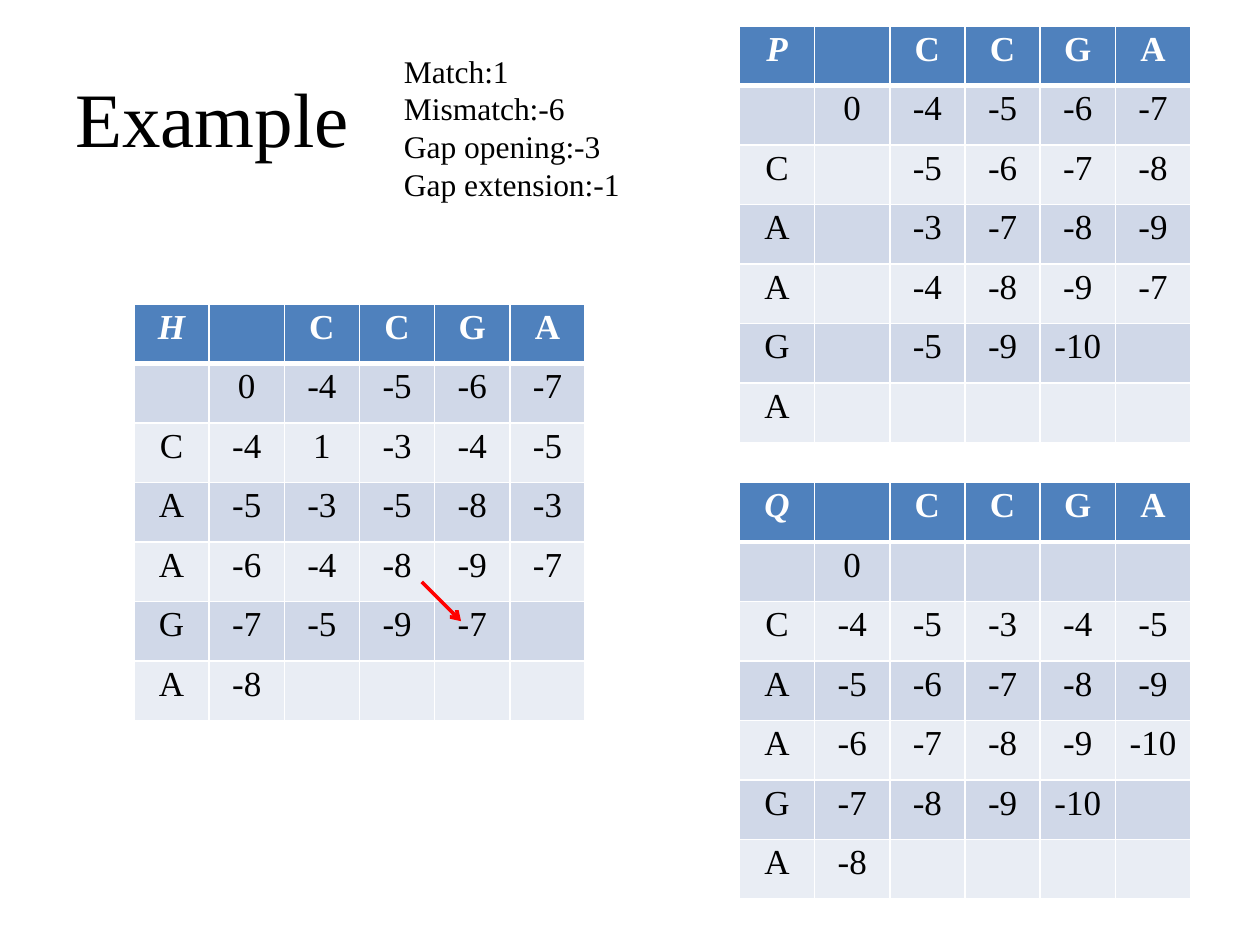
from lxml.etree import SubElement
from pptx import Presentation
from pptx.dml.color import RGBColor
from pptx.enum.shapes import MSO_CONNECTOR as Connector
from pptx.enum.text import MSO_ANCHOR as Anchor, PP_ALIGN as Align
from pptx.oxml.ns import qn
from pptx.util import Pt

# Content
TITLE = "Example"
SCORING = ["Match:1", "Mismatch:-6", "Gap opening:-3", "Gap extension:-1"]
COLUMN_LETTERS = ["", "C", "C", "G", "A"]
ROW_LETTERS = ["", "C", "A", "A", "G", "A"]

# Each matrix: name, left, top, values by row (trailing empty cells left out)
MATRICES = [
    ("H", 76.5, 173.75, [
        ["0", "-4", "-5", "-6", "-7"],
        ["-4", "1", "-3", "-4", "-5"],
        ["-5", "-3", "-5", "-8", "-3"],
        ["-6", "-4", "-8", "-9", "-7"],
        ["-7", "-5", "-9", "-7"],
        ["-8"],
    ]),
    ("P", 422.5, 15, [
        ["0", "-4", "-5", "-6", "-7"],
        ["", "-5", "-6", "-7", "-8"],
        ["", "-3", "-7", "-8", "-9"],
        ["", "-4", "-8", "-9", "-7"],
        ["", "-5", "-9", "-10"],
        [],
    ]),
    ("Q", 422.5, 275.75, [
        ["0"],
        ["-4", "-5", "-3", "-4", "-5"],
        ["-5", "-6", "-7", "-8", "-9"],
        ["-6", "-7", "-8", "-9", "-10"],
        ["-7", "-8", "-9", "-10"],
        ["-8"],
    ]),
]

# Style
FONT = "Times New Roman"
BLACK, WHITE, RED = "000000", "FFFFFF", "FF0000"
HEADER, BANDS = "4F81BD", ("D0D8E8", "E9EDF4")
COLUMN_WIDTH, ROW_HEIGHT = 43, 34


def color(value):
    return RGBColor.from_string(value)


def write(paragraph, text, size=20, fill=BLACK, bold=False, italic=False,
          align=Align.LEFT):
    paragraph.alignment = align
    run = paragraph.add_run()
    run.text = text
    font = run.font
    font.name, font.size, font.bold, font.italic = FONT, Pt(size), bold, italic
    font.color.rgb = color(fill)


def add_text(slide, lines, box, size, anchor=Anchor.TOP, wrap=True):
    frame = slide.shapes.add_textbox(*map(Pt, box)).text_frame
    frame.word_wrap = wrap
    frame.vertical_anchor = anchor
    for index, line in enumerate(lines):
        paragraph = frame.add_paragraph() if index else frame.paragraphs[0]
        write(paragraph, line, size=size)


def add_borders(cell, widths):
    properties = cell._tc.get_or_add_tcPr()
    for side, width in widths.items():
        line = SubElement(properties, qn(f"a:ln{side}"), w=str(Pt(width)))
        solid = SubElement(line, qn("a:solidFill"))
        SubElement(solid, qn("a:srgbClr"), val=WHITE)


def add_matrix(slide, name, left, top, values):
    rows = [[name] + COLUMN_LETTERS]
    rows += [[letter] + row for letter, row in zip(ROW_LETTERS, values)]
    row_count, column_count = len(rows), len(rows[0])
    table = slide.shapes.add_table(
        row_count, column_count, Pt(left), Pt(top),
        Pt(column_count * COLUMN_WIDTH), Pt(row_count * ROW_HEIGHT)).table
    for column in table.columns:
        column.width = Pt(COLUMN_WIDTH)
    for r, row in enumerate(rows):
        table.rows[r].height = Pt(ROW_HEIGHT)
        is_header = r == 0
        for c in range(column_count):
            cell = table.cell(r, c)
            cell.margin_left = cell.margin_right = Pt(4.5)
            cell.margin_top = cell.margin_bottom = Pt(2.25)
            add_borders(cell, {"L": 1, "R": 1, "T": 3 if r == 1 else 1,
                               "B": 3 if is_header else 1})
            cell.fill.solid()
            cell.fill.fore_color.rgb = color(
                HEADER if is_header else BANDS[(r - 1) % 2])
            if c < len(row) and row[c]:
                write(cell.text_frame.paragraphs[0], row[c],
                      fill=WHITE if is_header else BLACK, bold=is_header,
                      italic=is_header and c == 0, align=Align.CENTER)


def add_arrow(slide, start, end):
    arrow = slide.shapes.add_connector(
        Connector.STRAIGHT, *map(Pt, start + end))
    arrow.line.color.rgb = color(RED)
    arrow.line.width = Pt(2)
    SubElement(arrow.line._get_or_add_ln(), qn("a:tailEnd"), type="arrow")
    SubElement(arrow._element.spPr, qn("a:effectLst"))


def main():
    presentation = Presentation()
    presentation.slide_width, presentation.slide_height = Pt(720), Pt(540)
    slide = presentation.slides.add_slide(presentation.slide_layouts[6])

    # Title and scoring scheme
    add_text(slide, [TITLE], (36, 21.6, 648, 90), 44, anchor=Anchor.MIDDLE)
    add_text(slide, SCORING, (223.75, 26, 139, 94.5), 18, wrap=False)

    # Alignment matrices
    for matrix in MATRICES:
        add_matrix(slide, *matrix)

    # Diagonal step in H
    add_arrow(slide, (241, 332.5), (263.5, 355))

    presentation.save("out.pptx")


if __name__ == "__main__":
    main()
